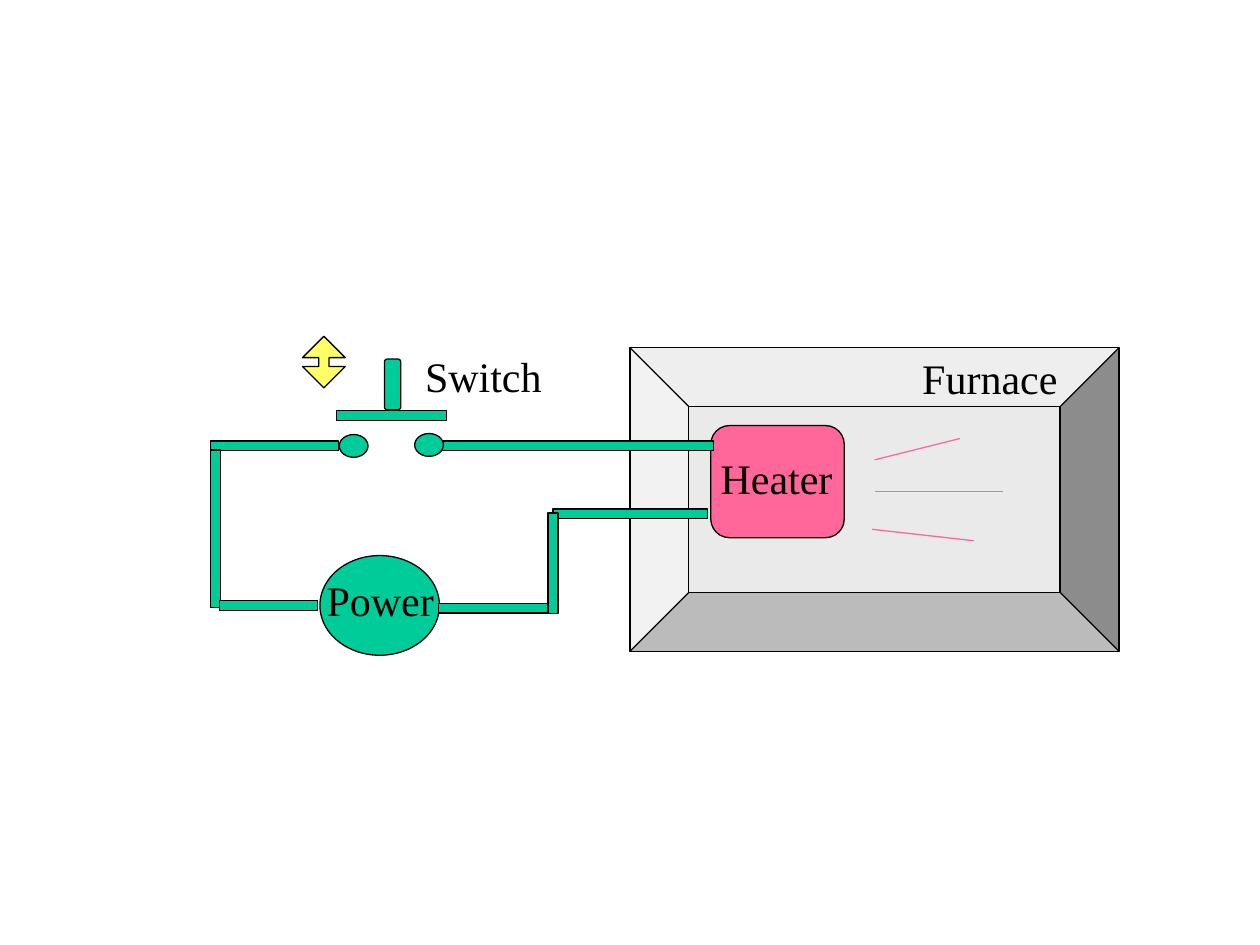
import pptx
import pptx.dml.color
import pptx.enum.shapes
import pptx.enum.text
import pptx.oxml.ns
import pptx.util
from lxml import etree

Cm = pptx.util.Cm
Pt = pptx.util.Pt
RGBColor = pptx.dml.color.RGBColor
SHAPE = pptx.enum.shapes.MSO_SHAPE

BLACK = RGBColor(0x00, 0x00, 0x00)
GREY = RGBColor(0xEA, 0xEA, 0xEA)
PINK = RGBColor(0xFF, 0x66, 0x99)
GREEN = RGBColor(0x00, 0xCC, 0x99)
YELLOW = RGBColor(0xFF, 0xFF, 0x66)

FONT = "Times New Roman"
LINE_WIDTH = Pt(0.75)
WIRE = 0.2
LABEL_HEIGHT = 1.27


def add_part(s, box, kind, x, y, width, height, color, adjustments=()):
    left, top = box
    sp = s.shapes.add_shape(kind, Cm(left + x), Cm(top + y), Cm(width), Cm(height))
    sp.shadow.inherit = False
    sp.fill.solid()
    sp.fill.fore_color.rgb = color
    sp.line.color.rgb = BLACK
    sp.line.width = LINE_WIDTH
    for index, value in enumerate(adjustments):
        sp.adjustments[index] = value


def add_label(s, box, text, x, y, width):
    left, top = box
    sp = s.shapes.add_textbox(Cm(left + x), Cm(top + y), Cm(width), Cm(LABEL_HEIGHT))
    tf = sp.text_frame
    tf.text = text
    tf.word_wrap = False
    tf.auto_size = pptx.enum.text.MSO_AUTO_SIZE.SHAPE_TO_FIT_TEXT
    tf.vertical_anchor = pptx.enum.text.MSO_ANCHOR.MIDDLE
    p = tf.paragraphs[0]
    p.alignment = pptx.enum.text.PP_ALIGN.CENTER
    r = p.runs[0]
    r.font.name = FONT
    r.font.size = Pt(24)
    r.font.color.rgb = BLACK


def add_ray(s, box, x1, y1, x2, y2):
    left, top = box
    ray = s.shapes.add_connector(
        pptx.enum.shapes.MSO_CONNECTOR.STRAIGHT,
        Cm(left + x1), Cm(top + y1), Cm(left + x2), Cm(top + y2),
    )
    ray.line.color.rgb = PINK
    ray.line.width = LINE_WIDTH
    etree.SubElement(ray._element.spPr, pptx.oxml.ns.qn("a:effectLst"))


def add_furnace(s, box):
    add_part(s, box, SHAPE.BEVEL, 0, 0, 9.86, 6.12, GREY, [0.194])
    add_part(s, box, SHAPE.ROUNDED_RECTANGLE, 1.63, 1.57, 2.69, 2.26, PINK)
    add_label(s, box, "Heater", 1.57, 1.98, 2.77)
    add_label(s, box, "Furnace", 5.64, -0.03, 3.23)
    for ray in (
        (4.93, 2.26, 6.65, 1.83),
        (4.93, 2.9, 7.52, 2.9),
        (4.88, 3.66, 6.93, 3.89),
    ):
        add_ray(s, box, *ray)


def add_switch(s, box):
    add_part(s, box, SHAPE.UP_DOWN_ARROW, 0, 0, 0.86, 1.04, YELLOW, [0.5, 0.242])
    add_part(s, box, SHAPE.ROUNDED_RECTANGLE, 1.65, 0.46, 0.33, 1.02, GREEN)
    add_part(s, box, SHAPE.RECTANGLE, 0.69, 1.5, 2.21, WIRE, GREEN)
    add_label(s, box, "Switch", 2.21, 0.15, 2.87)
    for x, y in ((0.74, 1.98), (2.26, 1.96)):
        add_part(s, box, SHAPE.OVAL, x, y, 0.58, 0.46, GREEN)


def add_circuit(s, box):
    add_part(s, box, SHAPE.OVAL, 2.21, 4.42, 2.41, 2.01, GREEN)
    add_label(s, box, "Power", 2.08, 4.67, 2.69)
    for x, y, width, height in (
        (4.65, 2.11, 5.49, WIRE),
        (0, 2.11, 2.59, WIRE),
        (0, 2.29, WIRE, 3.18),
        (0.18, 5.33, 1.98, WIRE),
        (4.6, 5.38, 2.21, WIRE),
        (6.91, 3.48, 3.12, WIRE),
        (6.81, 3.56, WIRE, 2.03),
    ):
        add_part(s, box, SHAPE.RECTANGLE, x, y, width, height, GREEN)


def main():
    prs = pptx.Presentation()
    prs.slide_width = Cm(25.4)
    prs.slide_height = Cm(19.05)
    s = prs.slides.add_slide(prs.slide_layouts[6])
    add_furnace(s, (12.7, 7.01))
    add_circuit(s, (4.24, 6.78))
    add_switch(s, (6.1, 6.78))
    prs.save("out.pptx")


if __name__ == "__main__":
    main()
